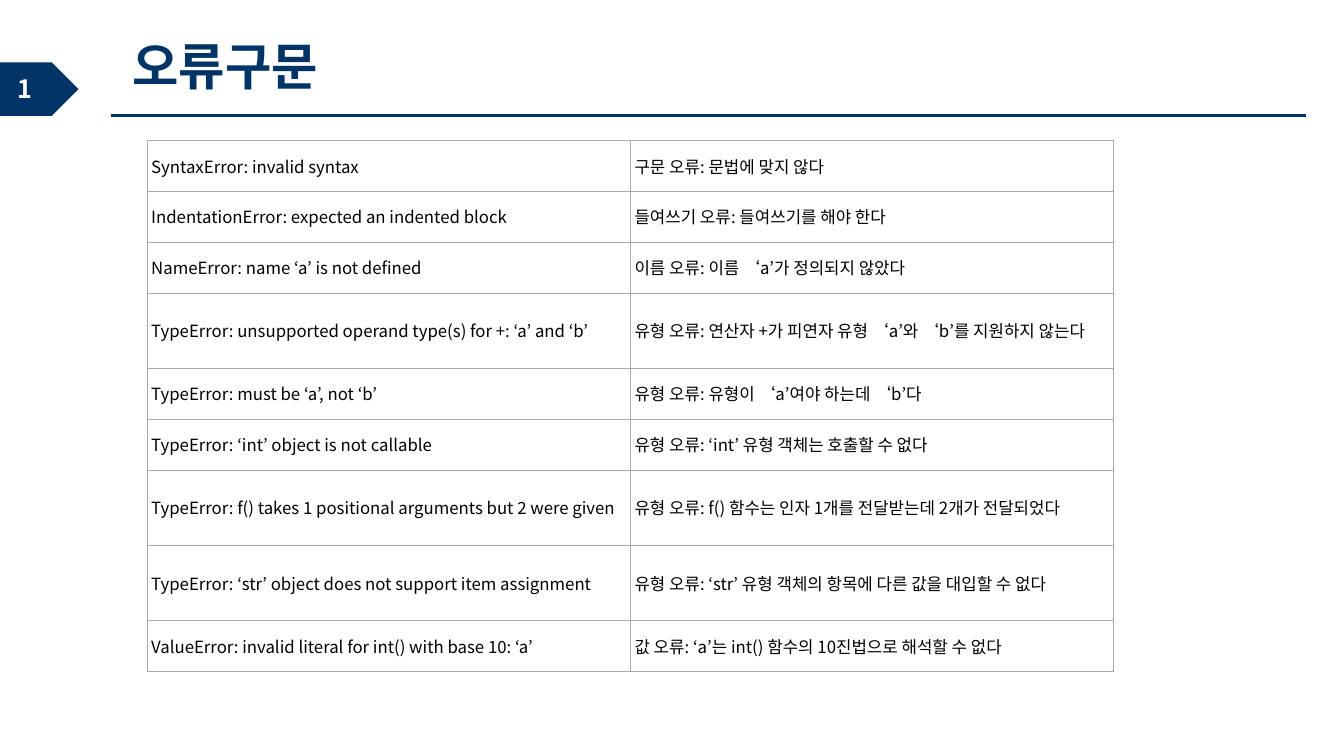
from lxml import etree
from pptx import Presentation
from pptx.dml.color import RGBColor
from pptx.enum.shapes import MSO_CONNECTOR, MSO_SHAPE
from pptx.enum.text import MSO_ANCHOR as ANCHOR, MSO_AUTO_SIZE as AUTO_SIZE
from pptx.oxml.ns import qn
from pptx.util import Cm, Pt

FONT = "Noto Sans CJK KR"
COLORS = {"navy": "003366", "white": "FFFFFF", "black": "000000", "grid": "AAAAAA"}
ERRORS = [
    ("SyntaxError: invalid syntax", "구문 오류: 문법에 맞지 않다"),
    ("IndentationError: expected an indented block", "들여쓰기 오류: 들여쓰기를 해야 한다"),
    ("NameError: name ‘a’ is not defined", "이름 오류: 이름 ‘a’가 정의되지 않았다"),
    ("TypeError: unsupported operand type(s) for +: ‘a’ and ‘b’",
     "유형 오류: 연산자 +가 피연자 유형 ‘a’와 ‘b’를 지원하지 않는다"),
    ("TypeError: must be ‘a’, not ‘b’", "유형 오류: 유형이 ‘a’여야 하는데 ‘b’다"),
    ("TypeError: ‘int’ object is not callable", "유형 오류: ‘int’ 유형 객체는 호출할 수 없다"),
    ("TypeError: f() takes 1 positional arguments but 2 were given",
     "유형 오류: f() 함수는 인자 1개를 전달받는데 2개가 전달되었다"),
    ("TypeError: ‘str’ object does not support item assignment",
     "유형 오류: ‘str’ 유형 객체의 항목에 다른 값을 대입할 수 없다"),
    ("ValueError: invalid literal for int() with base 10: ‘a’",
     "값 오류: ‘a’는 int() 함수의 10진법으로 해석할 수 없다"),
]
TALL_ROWS = (3, 6, 7)
ROW_HEIGHT, TALL_HEIGHT = Cm(1.28), Cm(1.9)


def add_run(p, text, size, color, bold=False):
    r = p.add_run()
    r.text = text
    r.font.size = Pt(size)
    r.font.bold = bold
    r.font.name = FONT
    r.font.color.rgb = RGBColor.from_string(COLORS[color])
    etree.SubElement(r.font._element, qn("a:ea"), typeface=FONT)


def add_borders(cell):
    tcPr = cell._tc.get_or_add_tcPr()
    for i, side in enumerate(("lnL", "lnR", "lnT", "lnB")):
        ln = etree.Element(qn(f"a:{side}"), w=str(Pt(0.6)))
        fill = etree.SubElement(ln, qn("a:solidFill"))
        etree.SubElement(fill, qn("a:srgbClr"), val=COLORS["grid"])
        tcPr.insert(i, ln)


prs = Presentation()
prs.slide_width, prs.slide_height = Cm(33.87), Cm(19.05)
s = prs.slides.add_slide(prs.slide_layouts[6])

rule = s.shapes.add_connector(MSO_CONNECTOR.STRAIGHT, Cm(2.8), Cm(2.91), Cm(32.9), Cm(2.91))
rule.line.width = Pt(2)
rule.line.color.rgb = RGBColor.from_string(COLORS["navy"])
etree.SubElement(rule._element.spPr, qn("a:effectLst"))

tag = s.shapes.add_shape(MSO_SHAPE.PENTAGON, Cm(-0.02), Cm(1.57), Cm(2), Cm(1.35))
tag.shadow.inherit = False
tag.fill.solid()
tag.fill.fore_color.rgb = RGBColor.from_string(COLORS["navy"])
tag.line.fill.background()

number = s.shapes.add_textbox(Cm(0.2), Cm(1.73), Cm(0.88), Cm(1.03))
tf = number.text_frame
tf.word_wrap = False
tf.auto_size = AUTO_SIZE.SHAPE_TO_FIT_TEXT
add_run(tf.paragraphs[0], "1", 18, "white", bold=True)

title = s.shapes.add_textbox(Cm(2.8), Cm(0.61), Cm(30.07), Cm(2.29))
tf = title.text_frame
tf.word_wrap = True
tf.vertical_anchor = ANCHOR.MIDDLE
p = tf.paragraphs[0]
p.line_spacing = 0.9
p.space_before = Pt(10)
add_run(p, " 오류구문", 36, "navy", bold=True)

height = ROW_HEIGHT * (len(ERRORS) - len(TALL_ROWS)) + TALL_HEIGHT * len(TALL_ROWS)
table = s.shapes.add_table(len(ERRORS), 2, Cm(3.71), Cm(3.54), Cm(24.36), height).table
table.first_row = False
table.horz_banding = False
for i, texts in enumerate(ERRORS):
    table.rows[i].height = TALL_HEIGHT if i in TALL_ROWS else ROW_HEIGHT
    for j, text in enumerate(texts):
        cell = table.cell(i, j)
        cell.vertical_anchor = ANCHOR.MIDDLE
        cell.margin_left = cell.margin_right = Cm(0.1)
        cell.margin_top = cell.margin_bottom = Cm(0.03)
        cell.fill.solid()
        cell.fill.fore_color.rgb = RGBColor.from_string(COLORS["white"])
        add_borders(cell)
        add_run(cell.text_frame.paragraphs[0], text, 12, "black")

prs.save("out.pptx")
